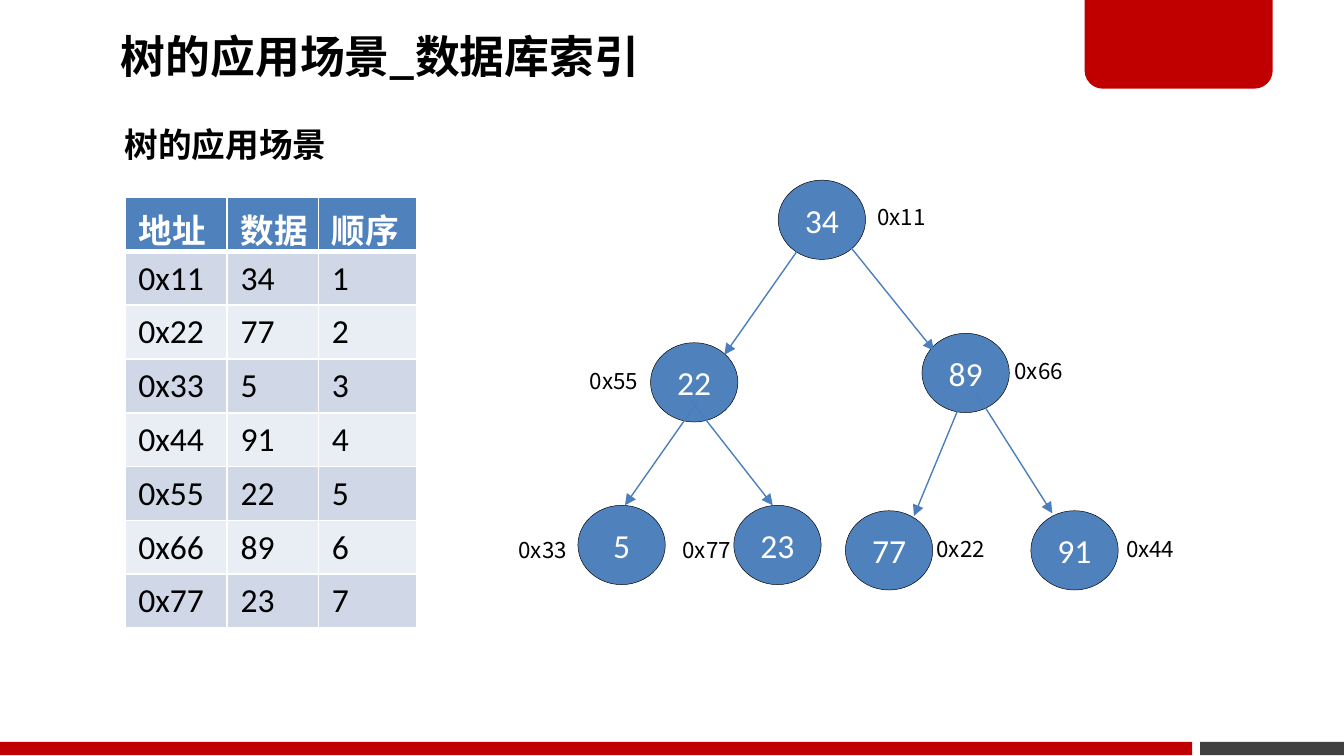
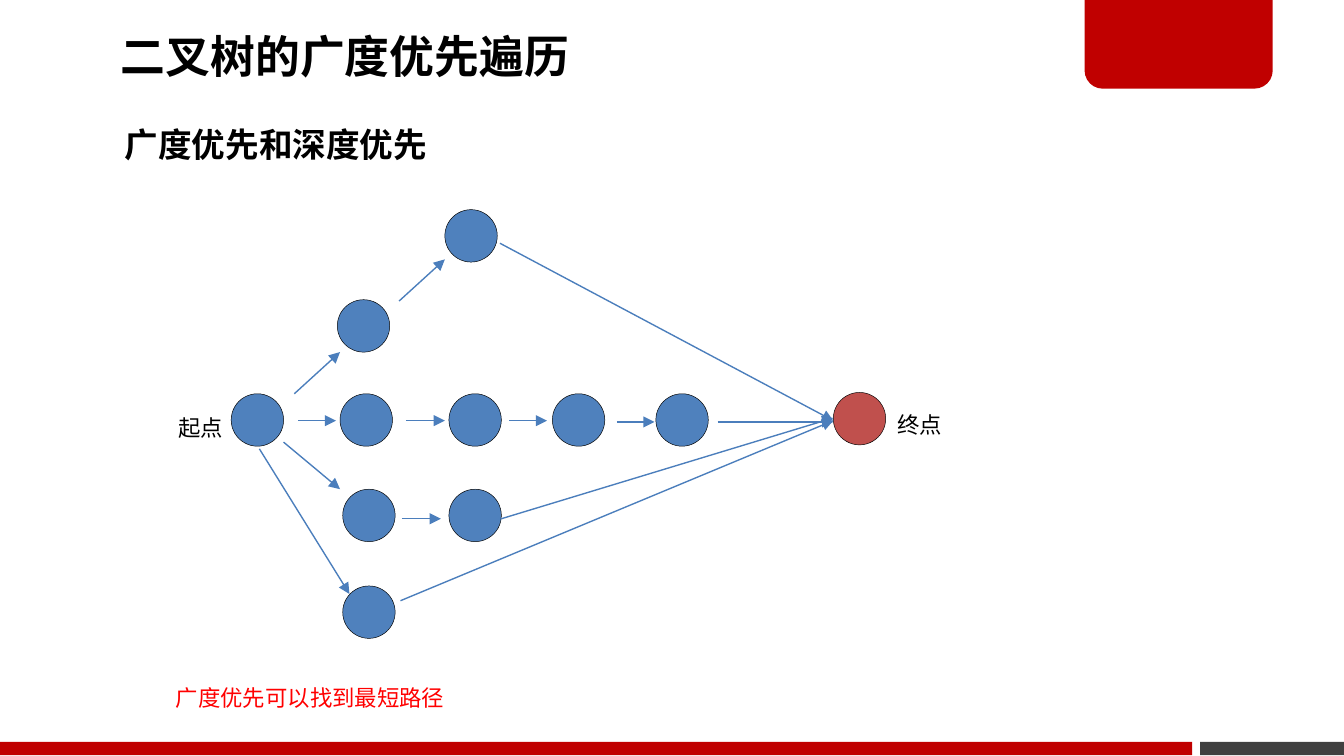
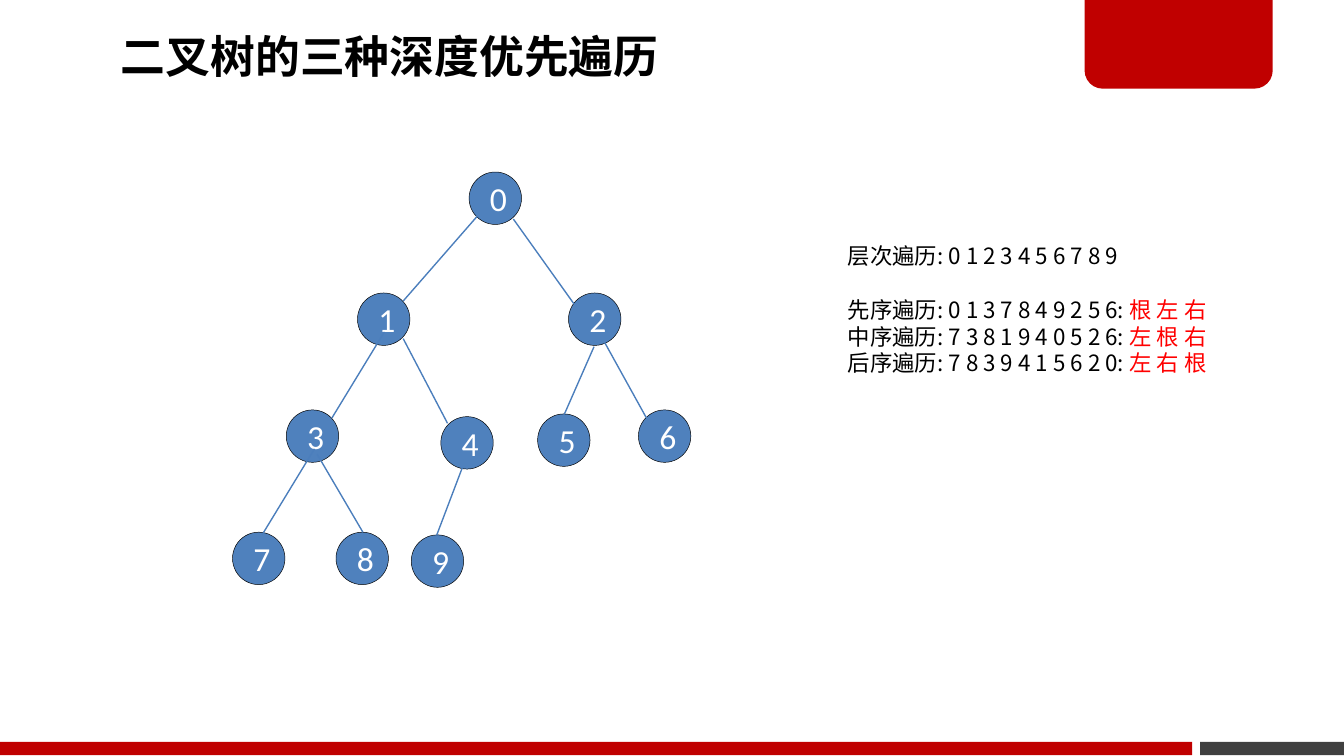
"""Build three slides on trees and the ways to walk them."""
from typing import NamedTuple

from lxml import etree
from pptx import Presentation
from pptx.dml.color import RGBColor
from pptx.enum.shapes import MSO_CONNECTOR, MSO_SHAPE
from pptx.enum.text import MSO_ANCHOR, MSO_AUTO_SIZE, PP_ALIGN
from pptx.oxml.ns import qn
from pptx.util import Inches, Pt

OVAL = MSO_SHAPE.OVAL
RECT = MSO_SHAPE.RECTANGLE
TAB = MSO_SHAPE.ROUND_2_SAME_RECTANGLE
LINE = MSO_CONNECTOR.STRAIGHT
LEFT = PP_ALIGN.LEFT
CENTER = PP_ALIGN.CENTER
MIDDLE = MSO_ANCHOR.MIDDLE
GROW = MSO_AUTO_SIZE.SHAPE_TO_FIT_TEXT

HAN = "Noto Sans CJK SC"
LATIN = "Calibri"
COLORS = {
    "brand": "C00000", "gray": "404040", "node": "4F81BD", "goal": "C0504D",
    "link": "4B7EBC", "ink": "000000", "white": "FFFFFF", "note": "FF0000",
    "odd": "D0D8E8", "even": "E9EDF4",
}


class Box(NamedTuple):
    x: float
    y: float
    w: float
    h: float


class Node(NamedTuple):
    x: float
    y: float
    label: str = ""
    color: str = "node"


class Link(NamedTuple):
    x1: float
    y1: float
    x2: float
    y2: float


class Tag(NamedTuple):
    text: str
    x: float
    y: float
    w: float = 0.58
    color: str = "ink"


class Walk(NamedTuple):
    text: str
    rule: str = ""
    gap: float = 0


WIDTH = 10
HEIGHT = WIDTH * 9 / 16
TITLE = Box(0.83, -0.01, 5.89, 0.89)
ROW_H = 0.4

DATA = [("地址", "数据"), ("0x11", "34"), ("0x22", "77"), ("0x33", "5"),
        ("0x44", "91"), ("0x55", "22"), ("0x66", "89"), ("0x77", "23")]
ORDER = [("顺序",)] + [(str(n),) for n in range(1, len(DATA))]

INDEX_NODES = [
    Node(5.79, 1.34, "34"), Node(6.86, 2.48, "89"), Node(4.84, 2.55, "22"),
    Node(7.67, 3.8, "91"), Node(6.29, 3.8, "77"), Node(5.46, 3.76, "23"),
    Node(4.3, 3.76, "5"),
]
INDEX_LINKS = [
    Link(5.93, 1.87, 5.39, 2.64), Link(6.33, 1.84, 6.95, 2.61),
    Link(5.19, 2.99, 4.65, 3.76), Link(7.26, 2.92, 7.83, 3.82),
    Link(5.14, 2.98, 5.75, 3.76), Link(7.14, 3.02, 6.8, 3.84),
]
INDEX_TAGS = [
    Tag("0x11", 6.43, 1.46), Tag("0x22", 6.87, 3.93), Tag("0x44", 8.28, 3.93),
    Tag("0x66", 7.45, 2.61), Tag("0x55", 4.29, 2.68), Tag("0x33", 3.76, 3.94),
    Tag("0x77", 4.98, 3.94),
]

ROUTE_NODES = [Node(x, 2.93) for x in (1.72, 2.53, 3.34, 4.11, 4.88)] + [
    Node(6.2, 2.92, color="goal"), Node(2.51, 2.23), Node(2.55, 3.64),
    Node(2.55, 4.36), Node(3.34, 3.64), Node(3.31, 1.56),
]
ROUTE_LINKS = [
    Link(2.19, 2.93, 2.53, 2.62), Link(2.11, 3.29, 2.53, 3.64),
    Link(2.98, 4.47, 6.2, 3.13), Link(2.99, 3.86, 3.28, 3.86),
    Link(1.93, 3.34, 2.6, 4.42), Link(3.73, 3.86, 6.2, 3.11),
    Link(2.97, 2.24, 3.31, 1.93), Link(3.72, 1.81, 6.2, 3.13),
    Link(2.22, 3.13, 2.5, 3.13), Link(3.02, 3.13, 3.31, 3.13),
    Link(3.79, 3.13, 4.07, 3.13), Link(4.59, 3.14, 4.87, 3.14),
    Link(5.34, 3.14, 6.2, 3.14),
]
ROUTE_TAGS = [
    Tag("起点", 1.23, 3.03, 0.54), Tag("终点", 6.58, 3.01, 0.54),
    Tag("广度优先可以找到最短路径", 1.21, 5.04, 2.22, "note"),
]

DEPTH_NODES = [
    Node(2.13, 3.05, "3"), Node(4.23, 2.18, "2"), Node(3.28, 3.1, "4"),
    Node(4, 3.08, "5"), Node(4.75, 3.05, "6"), Node(2.66, 2.18, "1"),
    Node(1.73, 3.96, "7"), Node(3.06, 3.98, "9"), Node(2.5, 3.96, "8"),
    Node(3.49, 1.28, "0"),
]
DEPTH_LINKS = [
    Link(3.55, 1.61, 3, 2.24), Link(3.82, 1.63, 4.27, 2.26),
    Link(2.86, 2.47, 2.47, 3.11), Link(2.34, 3.34, 1.95, 3.98),
    Link(3, 2.52, 3.33, 3.15), Link(2.36, 3.38, 2.7, 3.96),
    Link(4.5, 2.55, 4.81, 3.11), Link(4.42, 2.58, 4.2, 3.08),
    Link(3.44, 3.48, 3.25, 3.98),
]
WALKS = [
    Walk("层次遍历: 0 1 2 3 4 5 6 7 8 9"),
    Walk("先序遍历: 0 1 3 7 8 4 9 2 5 6: ", "根 左 右", 14.5),
    Walk("中序遍历: 7 3 8 1 9 4 0 5 2 6: ", "左 根 右"),
    Walk("后序遍历: 7 8 3 9 4 1 5 6 2 0: ", "左 右 根"),
]


def rgb(name: str) -> RGBColor:
    return RGBColor.from_string(COLORS[name])


def place(box: Box) -> list:
    return [Inches(n) for n in box]


def style(par, size: float, color: str, face: str = HAN, bold: bool = False) -> None:
    font = par.font
    font.size, font.bold, font.name = Pt(size), bold, face
    font.color.rgb = rgb(color)


def set_han(shape) -> None:
    for props in shape.element.iter(qn("a:defRPr")):
        etree.SubElement(props, qn("a:ea"), typeface=HAN)


def add_block(slide, kind, box: Box, color: str):
    block = slide.shapes.add_shape(kind, *place(box))
    block.shadow.inherit = False
    block.fill.solid()
    block.fill.fore_color.rgb = rgb(color)
    block.line.fill.background()
    return block


def add_nodes(slide, nodes: list[Node], w: float, h: float) -> None:
    for node in nodes:
        oval = add_block(slide, OVAL, Box(node.x, node.y, w, h), node.color)
        oval.line.color.rgb = rgb("ink")
        oval.line.width = Pt(0.25)
        if node.label:
            par = oval.text_frame.paragraphs[0]
            par.text = node.label
            par.alignment = CENTER
            style(par, 18, "white", LATIN)


def add_links(slide, links: list[Link], arrow: bool = True) -> None:
    for link in links:
        line = slide.shapes.add_connector(LINE, *[Inches(n) for n in link])
        line.line.color.rgb = rgb("link")
        line.line.width = Pt(0.75)
        props = line.element.spPr
        if arrow:
            etree.SubElement(props.find(qn("a:ln")), qn("a:tailEnd"), type="triangle")
        etree.SubElement(props, qn("a:effectLst"))


def add_text(slide, box: Box, walks: list[Walk], size: float = 12,
             color: str = "ink", bold: bool = False) -> None:
    shape = slide.shapes.add_textbox(*place(box))
    frame = shape.text_frame
    frame.word_wrap = False
    frame.auto_size = GROW
    for i, walk in enumerate(walks):
        par = frame.add_paragraph() if i else frame.paragraphs[0]
        par.add_run().text = walk.text
        if walk.gap:
            par.space_before = Pt(walk.gap)
        style(par, size, color, bold=bold)
        if walk.rule:
            run = par.add_run()
            run.text = walk.rule
            run.font.color.rgb = rgb("note")
    set_han(shape)


def add_tags(slide, tags: list[Tag]) -> None:
    for tag in tags:
        add_text(slide, Box(tag.x, tag.y, tag.w, 0.3), [Walk(tag.text)], color=tag.color)


def add_head(slide, text: str, w: float) -> None:
    add_text(slide, Box(0.83, 0.87, w, 0.4), [Walk(text)], 18, bold=True)


def set_edges(cell, row: int) -> None:
    props = cell._tc.get_or_add_tcPr()
    widths = {"L": 1, "R": 1, "T": 3 if row == 1 else 1, "B": 1 if row else 3}
    for i, (side, width) in enumerate(widths.items()):
        edge = etree.Element(qn(f"a:ln{side}"), w=str(Pt(width)))
        fill = etree.SubElement(edge, qn("a:solidFill"))
        etree.SubElement(fill, qn("a:srgbClr"), val=COLORS["white"])
        props.insert(i, edge)


def add_grid(slide, x: float, col_w: float, rows: list[tuple]) -> None:
    cols = len(rows[0])
    box = Box(x, 1.47, col_w * cols, ROW_H * len(rows))
    grid = slide.shapes.add_table(len(rows), cols, *place(box)).table
    for r, row in enumerate(rows):
        fill = ("odd" if r % 2 else "even") if r else "node"
        for c, text in enumerate(row):
            cell = grid.cell(r, c)
            cell.text = text
            cell.fill.solid()
            cell.fill.fore_color.rgb = rgb(fill)
            set_edges(cell, r)
            style(cell.text_frame.paragraphs[0], 18, "ink" if r else "white", LATIN, not r)


def dress(layout, slide) -> None:
    tab = add_block(slide, TAB, Box(8.07, -0.02, 1.4, 0.68), "brand")
    tab.adjustments[0], tab.adjustments[1] = 0, 0.2
    bands = [
        add_block(slide, RECT, Box(8.93, 5.52, 1.07, 0.1), "gray"),
        tab,
        add_block(slide, RECT, Box(0, 5.52, 8.87, 0.1), "brand"),
    ]
    for i, band in enumerate(bands):
        band.element.nvSpPr.cNvPr.set("id", str(50 + i))
        layout.shapes.element.insert(2 + i, band.element)


def add_page(deck, text: str):
    slide = deck.slides.add_slide(deck.slide_layouts[5])
    title = slide.shapes.title
    title.left, title.top, title.width, title.height = place(TITLE)
    frame = title.text_frame
    frame.vertical_anchor = MIDDLE
    frame.margin_left = frame.margin_right = Inches(0.07)
    frame.margin_top = frame.margin_bottom = Inches(0.04)
    par = frame.paragraphs[0]
    par.text = text
    par.alignment = LEFT
    par.line_spacing = 0.9
    style(par, 24, "ink", bold=True)
    set_han(title)
    return slide


def main() -> None:
    deck = Presentation()
    deck.slide_width, deck.slide_height = Inches(WIDTH), Inches(HEIGHT)

    index = add_page(deck, "树的应用场景_数据库索引")
    dress(deck.slide_layouts[5], index)
    add_head(index, "树的应用场景", 1.72)
    add_grid(index, 0.93, 0.76, DATA)
    add_nodes(index, INDEX_NODES, 0.65, 0.59)
    add_links(index, INDEX_LINKS)
    add_tags(index, INDEX_TAGS)
    add_grid(index, 2.37, 0.73, ORDER)

    route = add_page(deck, "二叉树的广度优先遍历")
    add_head(route, "广度优先和深度优先", 2.47)
    add_nodes(route, ROUTE_NODES, 0.39, 0.39)
    add_links(route, ROUTE_LINKS)
    add_tags(route, ROUTE_TAGS)

    depth = add_page(deck, "二叉树的三种深度优先遍历")
    add_nodes(depth, DEPTH_NODES, 0.39, 0.39)
    add_links(depth, DEPTH_LINKS, arrow=False)
    add_text(depth, Box(6.21, 1.75, 3.12, 1.11), WALKS)

    deck.save("out.pptx")


if __name__ == "__main__":
    main()
